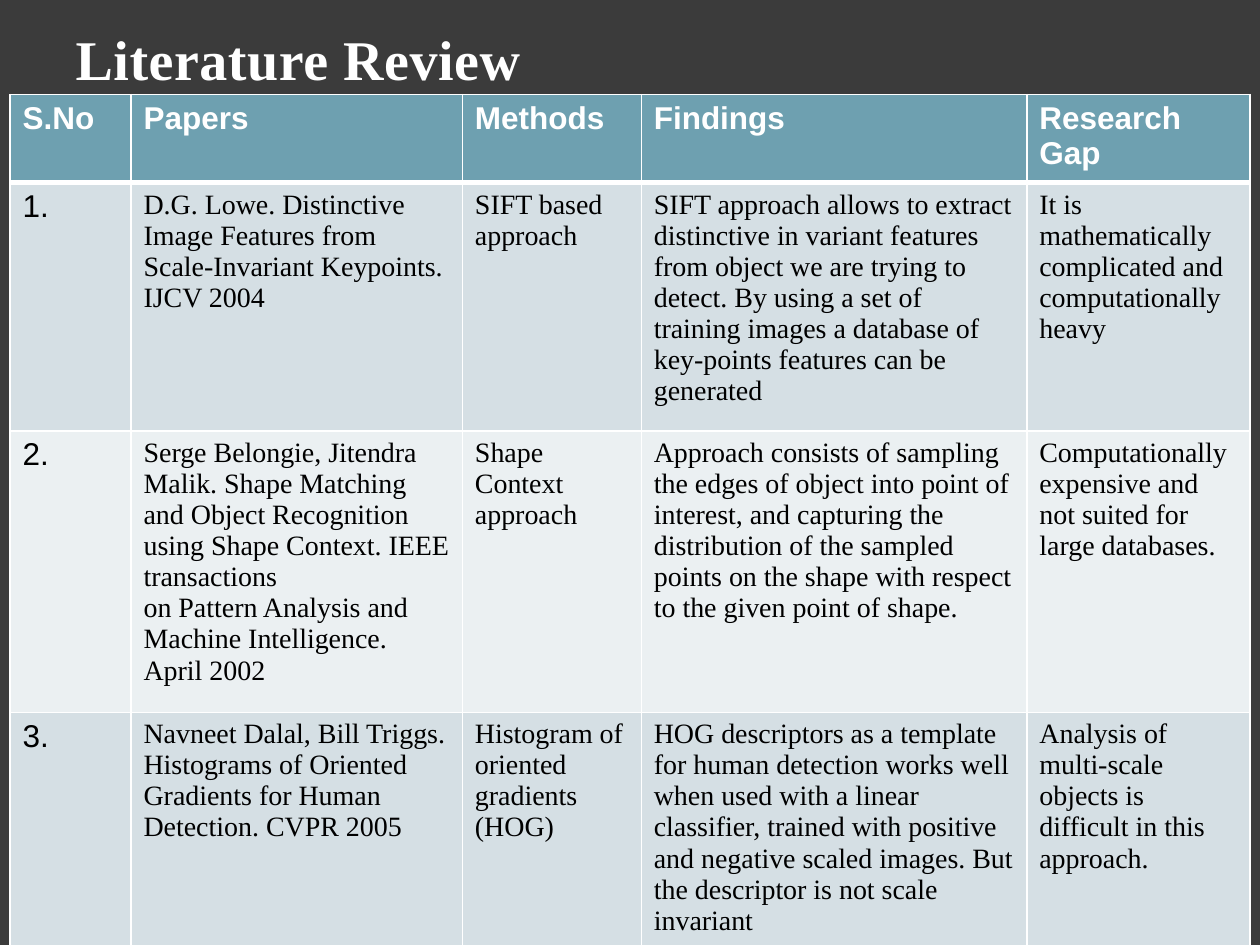
from dataclasses import dataclass

from lxml import etree
from pptx import Presentation
from pptx import util as u
from pptx.dml.color import RGBColor
from pptx.enum import text
from pptx.oxml.ns import qn


@dataclass(frozen=True)
class Theme:
    back: str = "3B3B3B"
    light: str = "FFFFFF"
    dark: str = "000000"
    head: str = "6EA0B0"
    bands: tuple = ("D5DFE4", "EBF0F2")
    sans: str = "Arial"
    serif: str = "Times New Roman"
    title: float = 32
    label: float = 18
    body: float = 16
    line: float = 1
    rule: float = 3


THEME = Theme()
WIDE, HIGH = u.Inches(10), u.Inches(7.5)
COLS = (0.96, 2.63, 1.42, 3.06, 1.77)
ROWS = (0.69, 1.97, 2.23, 1.97)
HEADS = ("S.No", "Papers", "Methods", "Findings", "Research Gap")
PAPERS = (
    ("1.",
     "D.G. Lowe. Distinctive Image Features from Scale-Invariant Keypoints. "
     "IJCV 2004",
     "SIFT based approach",
     "SIFT approach allows to extract distinctive in variant features from "
     "object we are trying to detect. By using a set of training images a "
     "database of key-points features can be generated",
     "It is mathematically complicated and computationally heavy"),
    ("2.",
     "Serge Belongie, Jitendra Malik. Shape Matching and Object Recognition "
     "using Shape Context. IEEE transactions\n"
     "on Pattern Analysis and Machine Intelligence. April 2002",
     "Shape Context approach",
     "Approach consists of sampling the edges of object into point of "
     "interest, and capturing the distribution of the sampled points on the "
     "shape with respect to the given point of shape.",
     "Computationally\nexpensive and not suited for large databases."),
    ("3.",
     "Navneet Dalal, Bill Triggs. Histograms of Oriented Gradients for Human "
     "Detection. CVPR 2005",
     "Histogram of oriented gradients\n(HOG)",
     "HOG descriptors as a template for human detection works well when used "
     "with a linear classifier, trained with positive and negative scaled "
     "images. But the descriptor is not scale invariant",
     "Analysis of multi-scale objects is difficult in this approach."),
)


def style(frame, face, size, color, bold=False):
    for para in frame.paragraphs:
        font = para.font
        font.name, font.size, font.bold = face, u.Pt(size), bold
        font.color.rgb = RGBColor.from_string(color)


def edge(cell, sides):
    """Draw cell borders; sides maps L, R, T and B to widths in points."""
    props = cell._tc.get_or_add_tcPr()
    for side, width in sides.items():
        line = etree.SubElement(props, qn(f"a:ln{side}"), w=str(u.Pt(width)))
        fill = etree.SubElement(line, qn("a:solidFill"))
        etree.SubElement(fill, qn("a:srgbClr"), val=THEME.light)


def add_title(slide, box, words):
    title = slide.shapes.title
    title.left, title.top, title.width, title.height = box
    frame = title.text_frame
    frame.text = words
    frame.auto_size = text.MSO_AUTO_SIZE.SHAPE_TO_FIT_TEXT
    frame.vertical_anchor = text.MSO_ANCHOR.MIDDLE
    frame.margin_left = frame.margin_right = frame.margin_bottom = 0
    frame.margin_top = u.Inches(0.02)
    frame.paragraphs[0].alignment = text.PP_ALIGN.LEFT
    style(frame, THEME.serif, THEME.title, THEME.light, True)
    frame.paragraphs[0].runs[0]._r.get_or_add_rPr().set("spc", "30")


def add_review(slide, box):
    """Place the review table, sharing the box among columns and rows."""
    left, top, width, height = box
    grid = (HEADS,) + PAPERS
    table = slide.shapes.add_table(len(ROWS), len(COLS), *box).table
    for col, share in zip(table.columns, COLS):
        col.width = int(width * share / sum(COLS))
    for row, share in zip(table.rows, ROWS):
        row.height = int(height * share / sum(ROWS))
    for r, line in enumerate(grid):
        for c, words in enumerate(line):
            cell = table.cell(r, c)
            cell.text = words
            edge(cell, {"L": THEME.line, "R": THEME.line,
                        "T": THEME.rule if r == 1 else THEME.line,
                        "B": THEME.rule if r == 0 else THEME.line})
            cell.fill.solid()
            tint = THEME.bands[(r - 1) % 2] if r else THEME.head
            cell.fill.fore_color.rgb = RGBColor.from_string(tint)
            label = r == 0 or c == 0
            style(cell.text_frame,
                  THEME.sans if label else THEME.serif,
                  THEME.label if label else THEME.body,
                  THEME.dark if r else THEME.light, r == 0)


def share(left, top, width, height):
    """Turn shares of the slide into a box."""
    return (int(WIDE * left), int(HIGH * top),
            int(WIDE * width), int(HIGH * height))


def main():
    deck = Presentation()
    deck.slide_width, deck.slide_height = WIDE, HIGH
    slide = deck.slides.add_slide(deck.slide_layouts[5])
    fill = slide.background.fill
    fill.solid()
    fill.fore_color.rgb = RGBColor.from_string(THEME.back)
    add_title(slide, share(0.06, 0.02, 0.73, 0.08), "Literature Review")
    add_review(slide, share(0.008, 0.1, 0.984, 0.915))
    deck.save("out.pptx")


if __name__ == "__main__":
    main()
